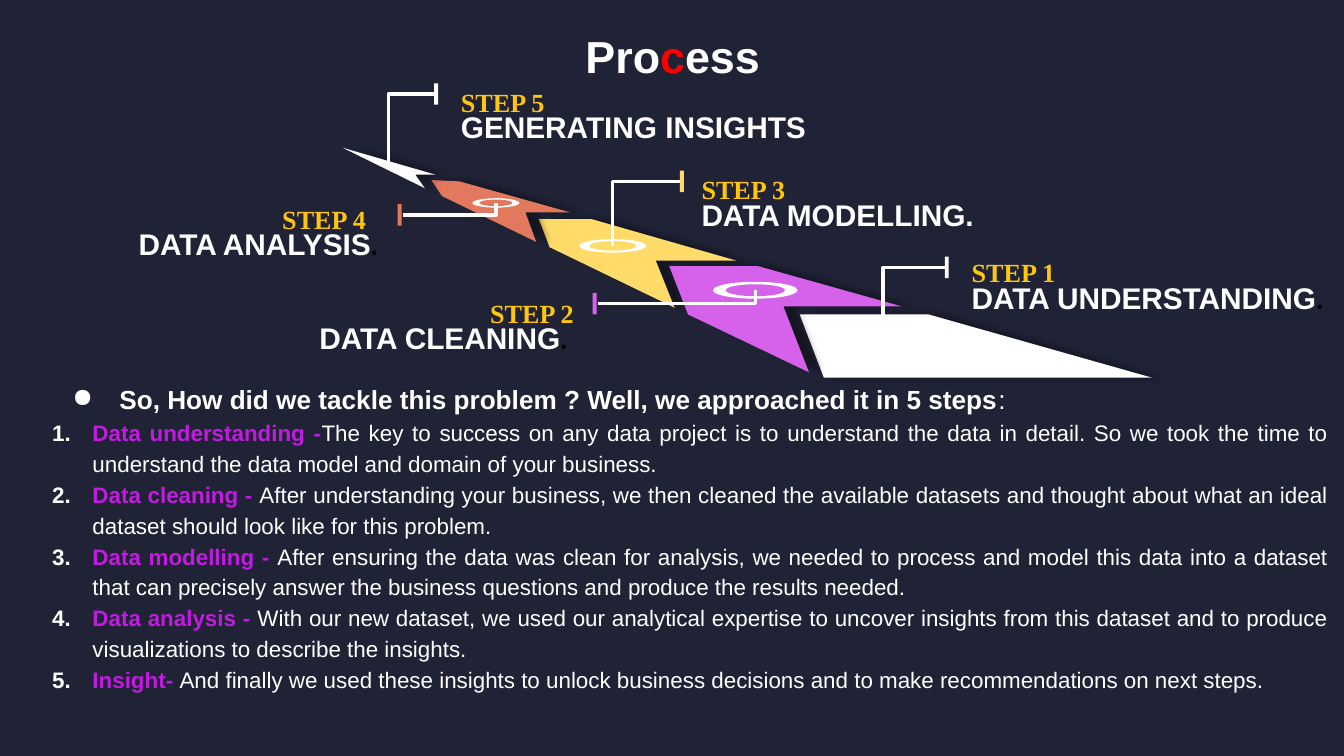
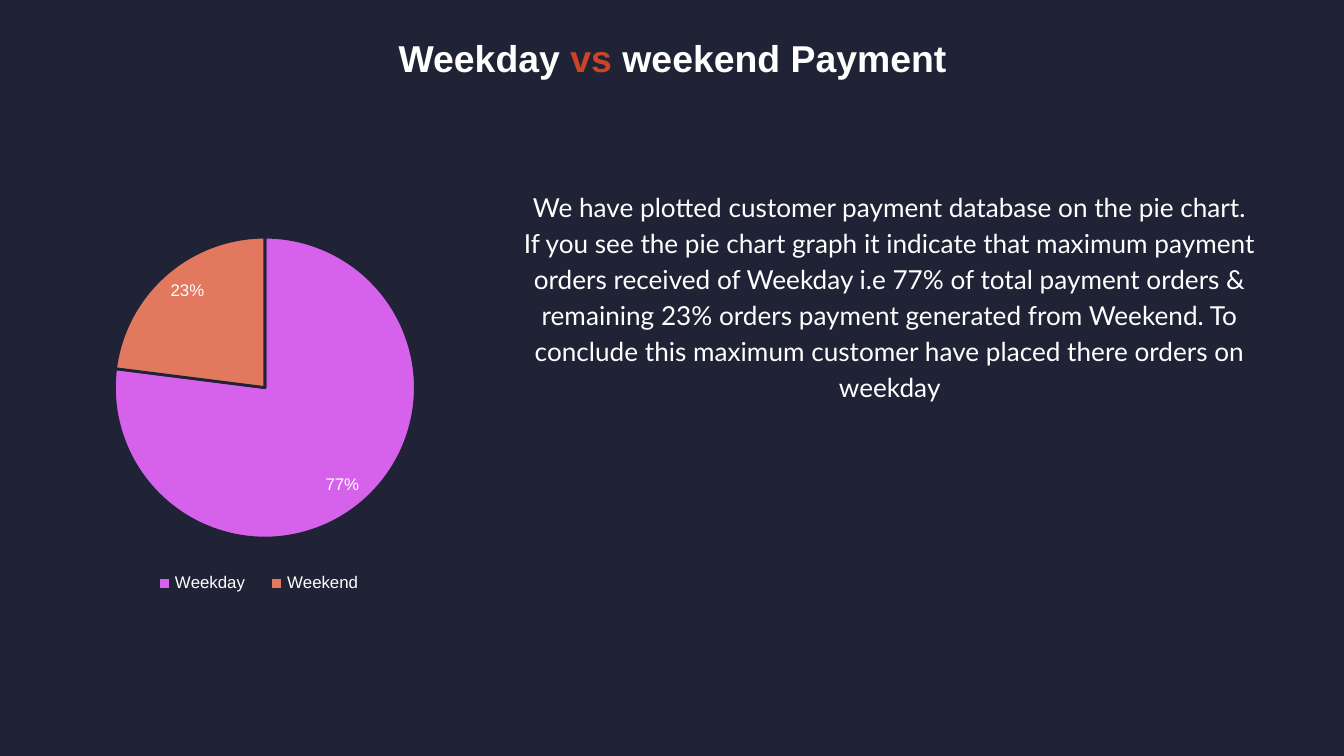
from dataclasses import dataclass

from lxml import etree
from pptx import Presentation
from pptx import util as u
from pptx.chart.data import CategoryChartData
from pptx.dml.color import RGBColor
from pptx.enum import chart as ch
from pptx.enum import shapes as sh
from pptx.enum import text as tx
from pptx.oxml import parse_xml
from pptx.oxml.ns import nsdecls, qn

SCALE = 9144  # 100 px to the inch
NAVY = RGBColor(0x20, 0x23, 0x36)
WHITE = RGBColor(0xFF, 0xFF, 0xFF)
BLACK = RGBColor(0, 0, 0)
RED = RGBColor(0xFF, 0, 0)
RUST = RGBColor(0xCB, 0x45, 0x25)
GOLD = RGBColor(0xFF, 0xC5, 0x10)
YELLOW = RGBColor(0xFF, 0xDB, 0x6A)
CORAL = RGBColor(0xE2, 0x78, 0x5E)
ORCHID = RGBColor(0xD6, 0x62, 0xEC)
VIOLET = RGBColor(0xC0, 0x1B, 0xDF)

LEFT, RIGHT = tx.PP_ALIGN.LEFT, tx.PP_ALIGN.RIGHT
MID, FULL = tx.PP_ALIGN.CENTER, tx.PP_ALIGN.JUSTIFY


@dataclass
class Step:
    num: int
    name: str
    fill: RGBColor
    edge: list       # arrow outline
    ring: tuple      # centre x, centre y, width
    tip: tuple       # end of the leader
    tag: tuple       # x, y, width of the step number
    head: tuple      # x, width of the step name
    side: tuple = (LEFT, LEFT)  # alignment of number and name
    dot: str = ""    # dark full stop after the name


STEPS = [
    Step(1, "DATA UNDERSTANDING", WHITE,
         [(595, 234), (691, 234), (857, 281), (613, 281)],
         (657, 251, 73), (703, 199), (723, 191, 276), (723, 293), dot="."),
    Step(3, "DATA MODELLING.", YELLOW,
         [(488, 194), (548, 194), (440, 163), (401, 163), (409, 184), (502, 229)],
         (456, 183, 50), (506, 135), (522, 129, 276), (522, 276)),
    Step(4, "DATA ANALYSIS", CORAL,
         [(391, 158), (424, 158), (342, 135), (321, 134), (329, 146), (399, 180)],
         (369, 151, 35), (300, 160), (210, 151, 81), (10, 276), (LEFT, RIGHT), ". "),
    Step(5, "GENERATING INSIGHTS", WHITE,
         [(309, 130), (324, 130), (255, 110), (316, 140)],
         (289, 123, 14), (323, 70), (343, 64, 276), (343, 276)),
    Step(2, "DATA CLEANING", ORCHID,
         [(583, 228), (671, 228), (564, 198), (498, 198), (512, 234), (602, 277)],
         (562, 216, 63), (445, 226), (151, 221, 276), (151, 276), (RIGHT, RIGHT), ". "),
]

NOTES = [
    ("Data understanding -",
     "The key to success on any data project is to understand the data in detail. "
     "So we took the time to understand the data model and domain of your business. "),
    ("Data cleaning - ",
     "After understanding your business, we then cleaned the available datasets and "
     "thought about what an ideal dataset should look like for this problem. "),
    ("Data modelling - ",
     "After ensuring the data was clean for analysis, we needed to process and model this "
     "data into a dataset that can precisely answer the business questions and produce "
     "the results needed. "),
    ("Data analysis - ",
     "With our new dataset, we used our analytical expertise to uncover insights from "
     "this dataset and to produce visualizations to describe the insights. "),
    ("Insight- ",
     "And finally we used these insights to unlock business decisions and to make "
     "recommendations on next steps."),
]

PAY = ("We have plotted customer payment database on the pie chart. If you see the pie chart "
       "graph it indicate that maximum payment orders received of Weekday i.e 77% of total "
       "payment orders & remaining 23% orders payment generated from Weekend. To conclude "
       "this maximum customer have placed there orders on weekday")


def px(n):
    return u.Emu(round(n * SCALE))


def style(font, size=12, face="Arial", color=WHITE, bold=False):
    font.size, font.name, font.bold = u.Pt(size), face, bold
    font.color.rgb = color


def write(slide, box, paras, pad=(0, 0, 0, 0), align=LEFT, lead=None, **fmt):
    """Each paragraph is a list of (text, changes to fmt)."""
    item = slide.shapes.add_textbox(*map(px, box))
    frame = item.text_frame
    frame.word_wrap = True
    (frame.margin_left, frame.margin_top,
     frame.margin_right, frame.margin_bottom) = map(px, pad)
    for i, runs in enumerate(paras):
        para = frame.paragraphs[0] if i == 0 else frame.add_paragraph()
        para.alignment = align
        if lead:
            para.line_spacing = lead
        for words, diff in runs:
            run = para.add_run()
            run.text = words
            style(run.font, **{**fmt, **diff})
    return frame.paragraphs


def indent(para, left, hang, mark=None):
    ppr = para._p.get_or_add_pPr()
    ppr.set("marL", str(px(left)))
    ppr.set("indent", str(px(hang)))
    if mark:
        tint = etree.SubElement(ppr, qn("a:buClr"))
        etree.SubElement(tint, qn("a:srgbClr")).set("val", str(WHITE))
        tag, key, val = mark
        etree.SubElement(ppr, qn(tag)).set(key, val)


def paint(shape, fill):
    shape.shadow.inherit = False
    shape.fill.solid()
    shape.fill.fore_color.rgb = fill
    shape.line.fill.background()


def start(deck):
    slide = deck.slides.add_slide(deck.slide_layouts[6])
    slide.background.fill.solid()
    slide.background.fill.fore_color.rgb = NAVY
    return slide


def title(slide, box, parts, size):
    write(slide, box, [parts], pad=(10, 10, 10, 10), align=MID, size=size, bold=True)


def arrow(slide, step):
    form = slide.shapes.build_freeform(*step.edge[0], scale=SCALE)
    form.add_line_segments(step.edge[1:], close=True)
    shape = form.convert_to_shape()
    paint(shape, step.fill)
    cast = shape._element.spPr.find(qn("a:effectLst"))
    cast.append(parse_xml(
        f'<a:outerShdw {nsdecls("a")} blurRad="50800" dist="76200" dir="0" rotWithShape="0">'
        '<a:srgbClr val="000000"><a:alpha val="40000"/></a:srgbClr></a:outerShdw>'))


def ring(slide, step):
    x, y, wide = step.ring
    for w, fill in ((wide, WHITE), (wide * 0.7, step.fill)):
        h = w / 5
        paint(slide.shapes.add_shape(sh.MSO_SHAPE.OVAL, px(x - w / 2), px(y - h / 2),
                                     px(w), px(h)), fill)


def leader(slide, step):
    (x, y, _), (tx_, ty) = step.ring, step.tip
    dx, dy = tx_ - x, ty - y
    cx, cy = x + dx / 2, y + dy / 2
    # One bend, laid out in a frame turned by 90 degrees
    link = slide.shapes.add_connector(
        sh.MSO_CONNECTOR.ELBOW, px(cx - dy / 2), px(cy + dx / 2),
        px(cx + dy / 2), px(cy - dx / 2))
    link.line.color.rgb = WHITE
    link.line.width = u.Pt(1.75)
    prop = link._element.spPr
    prop.find(qn("a:xfrm")).set("rot", "5400000")
    prop.find(qn("a:prstGeom")).set("prst", "bentConnector2")
    etree.SubElement(prop, qn("a:effectLst"))
    # End bar
    left = tx_ if dx > 0 else tx_ - 4
    paint(slide.shapes.add_shape(sh.MSO_SHAPE.RECTANGLE, px(left), px(ty - 8),
                                 px(3), px(16)), step.fill)


def label(slide, step):
    x, y, w = step.tag
    left, wide = step.head
    name = [(step.name, {})]
    if step.dot:
        name.append((step.dot, dict(face="Cambria", color=BLACK)))
    write(slide, (left, y + 17, wide, 22), [name], align=step.side[1], size=16, bold=True)
    write(slide, (x, y, w, 17), [[(f"STEP {step.num}", {})]], align=step.side[0],
          size=14, face="Times New Roman", color=GOLD, bold=True)


def notes(slide, box):
    ask = [("So, How did we tackle this problem ? Well, we approached it in 5 steps",
            dict(size=14, bold=True)), (": ", dict(size=14))]
    rows = [[(key, dict(color=VIOLET, bold=True)), (body, {})] for key, body in NOTES]
    first, *rest = write(slide, box, [ask] + rows, pad=(10, 10, 10, 10),
                         align=FULL, lead=1.15)
    indent(first, 50, -35, ("a:buChar", "char", "●"))
    for para in rest:
        indent(para, 30, -30, ("a:buAutoNum", "type", "arabicPeriod"))


def place(host, x, y, w, h, inner=False):
    """Fix a chart part at fractions of the chart area."""
    old = host.find(qn("c:layout"))
    if old is not None:
        host.remove(old)
    goal = '<c:layoutTarget val="inner"/>' if inner else ""
    node = parse_xml(
        f'<c:layout {nsdecls("c")}><c:manualLayout>{goal}'
        '<c:xMode val="edge"/><c:yMode val="edge"/>'
        f'<c:x val="{x}"/><c:y val="{y}"/><c:w val="{w}"/><c:h val="{h}"/>'
        '</c:manualLayout></c:layout>')
    prev = host.find(qn("c:legendPos"))
    host.insert(0 if prev is None else host.index(prev) + 1, node)


def pie(slide, box):
    data = CategoryChartData()
    data.categories = ["Weekday", "Weekend"]
    data.add_series("Series 1", (77, 23))
    chart = slide.shapes.add_chart(ch.XL_CHART_TYPE.PIE, *map(px, box), data).chart
    style(chart.font, size=10)
    chart.has_title = False
    plot = chart.plots[0]
    plot.vary_by_categories = True
    place(chart._chartSpace.chart.plotArea, 0.19, 0.19, 0.5, 0.7, inner=True)
    # Slices
    for i, fill in enumerate((ORCHID, CORAL)):
        part = plot.series[0].points[i].format
        part.fill.solid()
        part.fill.fore_color.rgb = fill
        part.line.color.rgb = NAVY
        part.line.width = u.Pt(1.5)
    # Labels
    plot.has_data_labels = True
    tags = plot.data_labels
    tags.show_percentage, tags.show_value = True, False
    tags.number_format, tags.number_format_is_linked = "0%", False
    tags.position = ch.XL_LABEL_POSITION.INSIDE_END
    style(tags.font, size=9)
    # Legend
    chart.has_legend = True
    key = chart.legend
    key.position = ch.XL_LEGEND_POSITION.BOTTOM
    key.include_in_layout = False
    style(key.font, size=9)
    place(key._element, 0.23, 0.88, 0.4, 0.07)


def process(deck):
    slide = start(deck)
    title(slide, (79, 11, 843, 41), [("Pro", {}), ("c", dict(color=RED)), ("ess", {})], 24)
    notes(slide, (29, 272, 970, 279))
    for draw in (arrow, ring, leader, label):
        for step in STEPS:
            draw(slide, step)


def payment(deck):
    slide = start(deck)
    title(slide, (79, 16, 843, 63),
          [("Weekday ", {}), ("vs", dict(color=RUST)), (" weekend Payment", {})], 20)
    para, = write(slide, (364, 79, 581, 467), [[(PAY, {})]], pad=(10, 60, 10, 10),
                  align=MID, lead=1.15, size=14, face="Lato")
    indent(para, 15, 0)
    pie(slide, (0, 79, 448, 388))


def main():
    deck = Presentation()
    deck.slide_width, deck.slide_height = px(1000), px(562.5)
    process(deck)
    payment(deck)
    deck.save("out.pptx")


if __name__ == "__main__":
    main()
